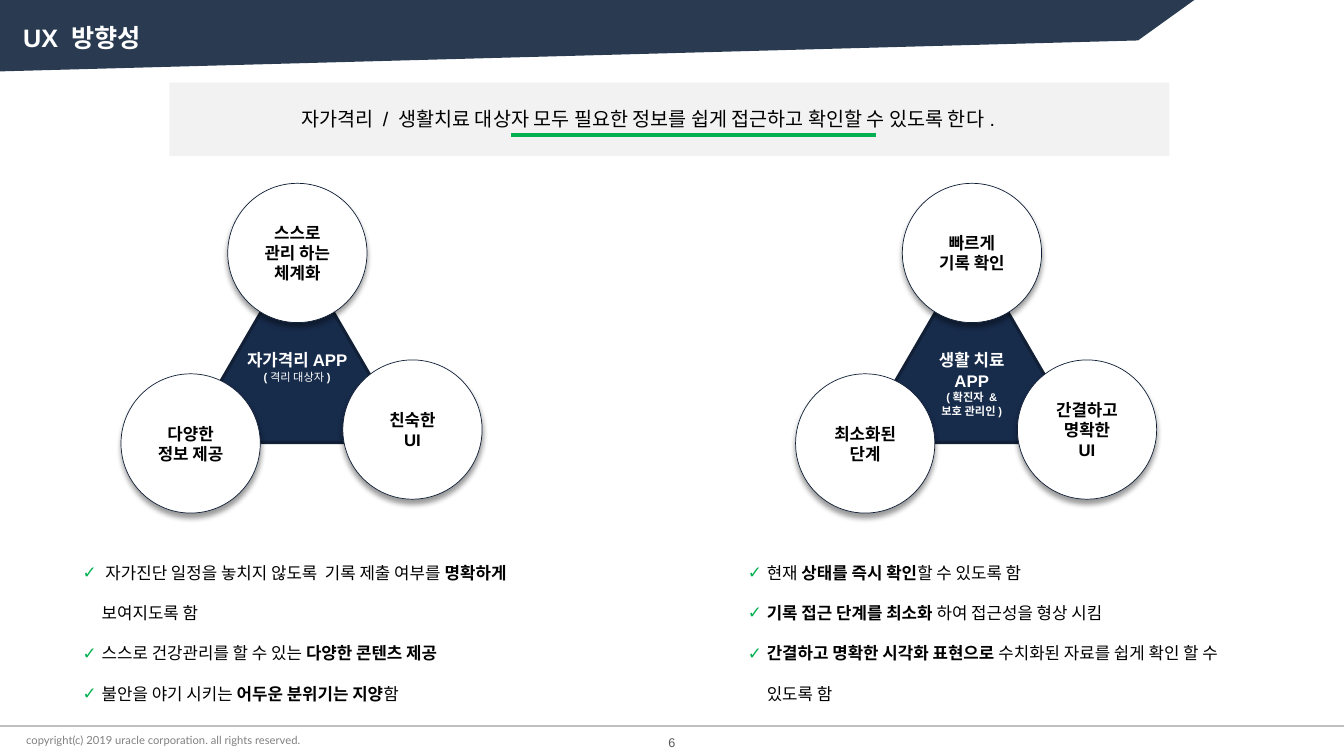
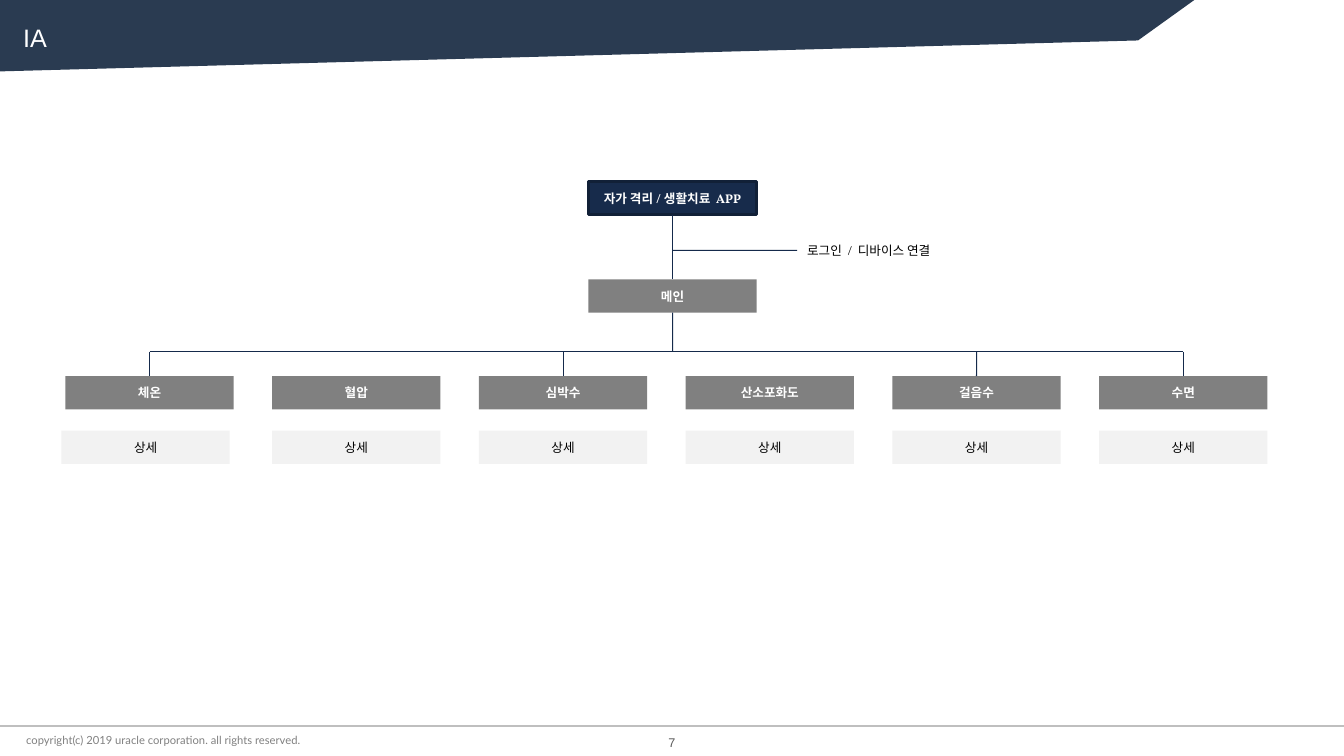
from dataclasses import dataclass
from typing import Any, Optional

import lxml.etree
import pptx
import pptx.dml.color
import pptx.enum.shapes
import pptx.enum.text
import pptx.oxml.ns
import pptx.util

Cm = pptx.util.Cm
Pt = pptx.util.Pt
Shape = pptx.enum.shapes.MSO_SHAPE
Align = pptx.enum.text.PP_ALIGN
Anchor = pptx.enum.text.MSO_ANCHOR
qn = pptx.oxml.ns.qn

# Palette
BAND, NAVY, NAVY_EDGE, WIRE = "2A3B51", "172B4B", "112037", "152A4B"
GREEN, GREY, PALE, RULE = "00B050", "808080", "F2F2F2", "BFBFBF"
WHITE, BLACK, PAGE_GREY = "FFFFFF", "000000", "595959"

# Fonts
TITLE = {"name": "Arial", "size": Pt(18)}
LEAD = {"name": "Arial", "size": Pt(14)}
BODY = {"name": "Arial", "size": Pt(12)}
NODE = {"name": "Vollkorn", "size": Pt(9)}
FOOTER = {"name": "Lato", "size": Pt(8)}
PAGE = {"name": "Arial", "size": Pt(9)}

WIDTH, HEIGHT = 33.87, 19.05


@dataclass
class Run:
    text: str
    bold: bool = False
    size: Optional[int] = None


@dataclass
class Box:
    left: float
    top: float
    width: float
    height: float

    def cm(self) -> tuple:
        return Cm(self.left), Cm(self.top), Cm(self.width), Cm(self.height)


@dataclass
class Cluster:
    left: float
    core: list
    circles: list
    points: list
    points_left: float


@dataclass
class Column:
    name: str
    wired: bool = True
    detail_shift: float = 0


def rgb(code: str) -> pptx.dml.color.RGBColor:
    return pptx.dml.color.RGBColor.from_string(code)


def lines(*texts: str, bold: bool = False) -> list:
    """One paragraph of a single run for each text."""
    return [[Run(t, bold)] for t in texts]


def write(sp: Any, paras: list, font: dict, color: str, align: Any = Align.CENTER,
          anchor: Any = Anchor.MIDDLE, inset: Optional[float] = None,
          checks: bool = False) -> None:
    tf = sp.text_frame
    frame = {"word_wrap": True, "auto_size": pptx.enum.text.MSO_AUTO_SIZE.NONE,
             "vertical_anchor": anchor}
    if inset is not None:
        frame.update({f"margin_{side}": Cm(inset) for side in ("left", "top", "right", "bottom")})
    for key, value in frame.items():
        setattr(tf, key, value)
    for i, runs in enumerate(paras):
        p = tf.add_paragraph() if i else tf.paragraphs[0]
        p.alignment = align
        if checks:
            add_check(p)
        for run in runs:
            for n, part in enumerate(run.text.split("\n")):
                if n:
                    p.add_line_break()
                if not part:
                    continue
                r = p.add_run()
                r.text = part
                fmt = {**font, "bold": run.bold}
                if run.size:
                    fmt["size"] = Pt(run.size)
                for key, value in fmt.items():
                    setattr(r.font, key, value)
                r.font.color.rgb = rgb(color)


def add_check(p: Any) -> None:
    """Green check bullet with a hanging indent and double line spacing."""
    p.line_spacing = 2.0
    p.space_before = Pt(0)
    pPr = p._p.get_or_add_pPr()
    indent = Cm(0.48)
    pPr.set("marL", str(indent))
    pPr.set("indent", str(-indent))
    clr = lxml.etree.SubElement(pPr, qn("a:buClr"))
    lxml.etree.SubElement(clr, qn("a:srgbClr"), val=GREEN)
    lxml.etree.SubElement(pPr, qn("a:buFont"), typeface="Arial")
    lxml.etree.SubElement(pPr, qn("a:buChar"), char="✓")


def paint(sp: Any, fill: str, edge: Optional[str] = None, weight: float = 0) -> None:
    sp.fill.solid()
    sp.fill.fore_color.rgb = rgb(fill)
    if edge:
        sp.line.color.rgb = rgb(edge)
        sp.line.width = Pt(weight)
    else:
        sp.line.fill.background()
    sp.shadow.inherit = False


def add_shape(s: Any, kind: Any, box: Box, fill: str, edge: Optional[str] = None,
              weight: float = 0) -> Any:
    sp = s.shapes.add_shape(kind, *box.cm())
    paint(sp, fill, edge, weight)
    return sp


def add_label(s: Any, box: Box, text: str, font: dict, color: str, **kw: Any) -> Any:
    sp = s.shapes.add_textbox(*box.cm())
    write(sp, lines(text), font, color, **kw)
    return sp


def add_line(s: Any, x1: float, y1: float, x2: float, y2: float, color: str,
             weight: float) -> Any:
    c = s.shapes.add_connector(pptx.enum.shapes.MSO_CONNECTOR.STRAIGHT,
                               Cm(x1), Cm(y1), Cm(x2), Cm(y2))
    c.line.color.rgb = rgb(color)
    c.line.width = Pt(weight)
    lxml.etree.SubElement(c.element.spPr, qn("a:effectLst"))
    return c


def place(sp: Any, box: Box) -> None:
    for key, value in zip(("left", "top", "width", "height"), box.cm()):
        setattr(sp, key, value)


def new_slide(prs: Any, layout: int, title: str, number: int, bold: bool = False) -> Any:
    """Slide with the shared band, title, rule and footer."""
    s = prs.slides.add_slide(prs.slide_layouts[layout])
    outline = s.shapes.build_freeform(Cm(0), Cm(0))
    outline.add_line_segments([(Cm(x), Cm(y)) for x, y in
                               ((30.1, 0), (28.68, 1.02), (0, 1.8))])
    band = outline.convert_to_shape()
    paint(band, BAND)
    s.shapes.element.insert(2, band.element)  # behind the title
    place(s.shapes.title, Box(0.33, 0.43, 9.53, 1.02))
    write(s.shapes.title, lines(title, bold=bold), TITLE, WHITE, Align.LEFT, Anchor.TOP)
    add_line(s, 0, 18.29, WIDTH, 18.29, RULE, 1)
    add_label(s, Box(0.41, 18.14, 10.34, 1.02),
              "copyright(c) 2019 uracle corporation. all rights reserved.",
              FOOTER, GREY, align=Align.LEFT)
    add_label(s, Box(15.75, 18.39, 2.36, 0.64), str(number), PAGE, PAGE_GREY)
    return s


# Circle offsets from the triangle's left edge, and their tops
CIRCLE_SPOTS = ((1.07, 4.62), (-1.62, 9.42), (3.97, 9.07))
CIRCLE = 3.51

CLUSTERS = [
    Cluster(
        4.67,
        [[Run("자가격리APP\n", True), Run("(", True, 8), Run("격리 대상자", False, 8),
          Run(")", True, 8)]],
        [("스스로", "관리 하는", "체계화"), ("다양한", "정보 제공"), ("친숙한", "UI")],
        [[Run(" 자가진단 일정을 놓치지 않도록  기록 제출 여부를 "), Run("명확하게\n", True),
          Run("보여지도록 함")],
         [Run("스스로 건강관리를 할 수 있는 "), Run("다양한 콘텐츠 제공", True)],
         [Run("불안을 야기 시키는 "), Run("어두운 분위기는 지양", True), Run("함")]],
        1.83),
    Cluster(
        21.67,
        [[Run("생활 치료", True)], [Run("APP", True)],
         [Run("(확진자 &\n보호 관리인)", True, 8)]],
        [("빠르게", "기록 확인"), ("최소화된", "단계"), ("간결하고", "명확한", "UI")],
        [[Run("현재 "), Run("상태를 즉시 확인", True), Run("할 수 있도록 함")],
         [Run("기록 접근 단계를 최소화 ", True), Run("하여 접근성을 형상 시킴")],
         [Run("간결하고 명확한 시각화 표현으로 ", True),
          Run("수치화된 자료를 쉽게 확인 할 수 있도록 함")]],
        18.59),
]


def draw_cluster(s: Any, cluster: Cluster, body: Any) -> None:
    core = add_shape(s, Shape.ISOSCELES_TRIANGLE, Box(cluster.left, 6.3, 5.64, 4.85),
                     NAVY, NAVY_EDGE, 2.25)
    write(core, cluster.core, BODY, WHITE, anchor=Anchor.TOP, inset=0.1)
    for (dx, top), words in zip(CIRCLE_SPOTS, cluster.circles):
        sp = add_shape(s, Shape.OVAL, Box(cluster.left + dx, top, CIRCLE, CIRCLE),
                       WHITE, NAVY_EDGE, 0.5)
        add_shadow(sp)
        write(sp, lines(*words, bold=True), BODY, BLACK, inset=0)
    place(body, Box(cluster.points_left, 13.54, 12.95, 4.37))
    write(body, cluster.points, BODY, BLACK, Align.LEFT, Anchor.TOP, checks=True)


def add_shadow(sp: Any) -> None:
    effects = sp.element.spPr.find(qn("a:effectLst"))
    outer = lxml.etree.SubElement(effects, qn("a:outerShdw"), blurRad=str(Pt(4)),
                                  dist=str(Pt(3)), dir="5400000", rotWithShape="0")
    clr = lxml.etree.SubElement(outer, qn("a:srgbClr"), val=BLACK)
    lxml.etree.SubElement(clr, qn("a:alpha"), val="40000")


def build_direction(prs: Any) -> None:
    s = new_slide(prs, 3, "UX 방향성", 6, bold=True)
    # Lead sentence with its underline
    add_shape(s, Shape.RECTANGLE, Box(4.27, 2.08, 25.2, 1.85), PALE)
    add_label(s, Box(1.83, 2.57, 29.01, 0.86),
              "자가격리 / 생활치료 대상자 모두 필요한 정보를 쉽게 접근하고 확인할 수 있도록 한다.",
              LEAD, BLACK, anchor=Anchor.TOP)
    add_line(s, 12.88, 3.4, 22.07, 3.4, GREEN, 3)
    for i, cluster in enumerate(CLUSTERS):
        draw_cluster(s, cluster, s.placeholders[i + 1])


NODE_W, NODE_H = 4.24, 0.84
COLUMN_LEFT, COLUMN_PITCH = 1.65, 5.21
COLUMNS = [Column("체온", detail_shift=-0.1), Column("혈압", wired=False), Column("심박수"),
           Column("산소포화도", wired=False), Column("걸음수"), Column("수면")]


def add_node(s: Any, left: float, top: float, text: str, fill: str = GREY,
             color: str = WHITE, edge: Optional[str] = None) -> Any:
    sp = add_shape(s, Shape.RECTANGLE, Box(left, top, NODE_W, NODE_H), fill, edge, 2.25)
    write(sp, lines(text, bold=color == WHITE), NODE, color)
    return sp


def build_ia(prs: Any) -> None:
    s = new_slide(prs, 5, "IA", 7)
    mid, bus, branch = 16.95, 8.87, 6.31
    left = mid - NODE_W / 2
    # Trunk
    root = add_node(s, left, 4.57, "자가 격리/생활치료 APP", NAVY, edge=NAVY_EDGE)
    main_node = add_node(s, left, 7.04, "메인")
    trunk = add_line(s, mid, 5.41, mid, 7.04, WIRE, 0.75)
    trunk.begin_connect(root, 2)
    trunk.end_connect(main_node, 0)
    stem = add_line(s, mid, 7.88, mid, bus, WIRE, 0.75)
    stem.begin_connect(main_node, 2)
    # Side branch
    label = add_label(s, Box(20.09, branch - 0.32, 9.75, 0.64), "로그인 / 디바이스 연결",
                      NODE, BLACK, align=Align.LEFT)
    add_line(s, mid, branch, 20.09, branch, WIRE, 0.75).end_connect(label, 1)
    # Columns hanging from the bus
    centers = [COLUMN_LEFT + i * COLUMN_PITCH + NODE_W / 2 for i in range(len(COLUMNS))]
    add_line(s, centers[0], bus, centers[-1], bus, WIRE, 0.75)
    for x, column in zip(centers, COLUMNS):
        left = x - NODE_W / 2
        node = add_node(s, left, 9.48, column.name)
        add_node(s, left + column.detail_shift, 10.85, "상세", PALE, BLACK)
        if column.wired:
            add_line(s, x, bus, x, 9.48, WIRE, 0.75).end_connect(node, 0)


def main() -> None:
    prs = pptx.Presentation()
    prs.slide_width, prs.slide_height = Cm(WIDTH), Cm(HEIGHT)
    build_direction(prs)
    build_ia(prs)
    prs.save("out.pptx")


if __name__ == "__main__":
    main()
